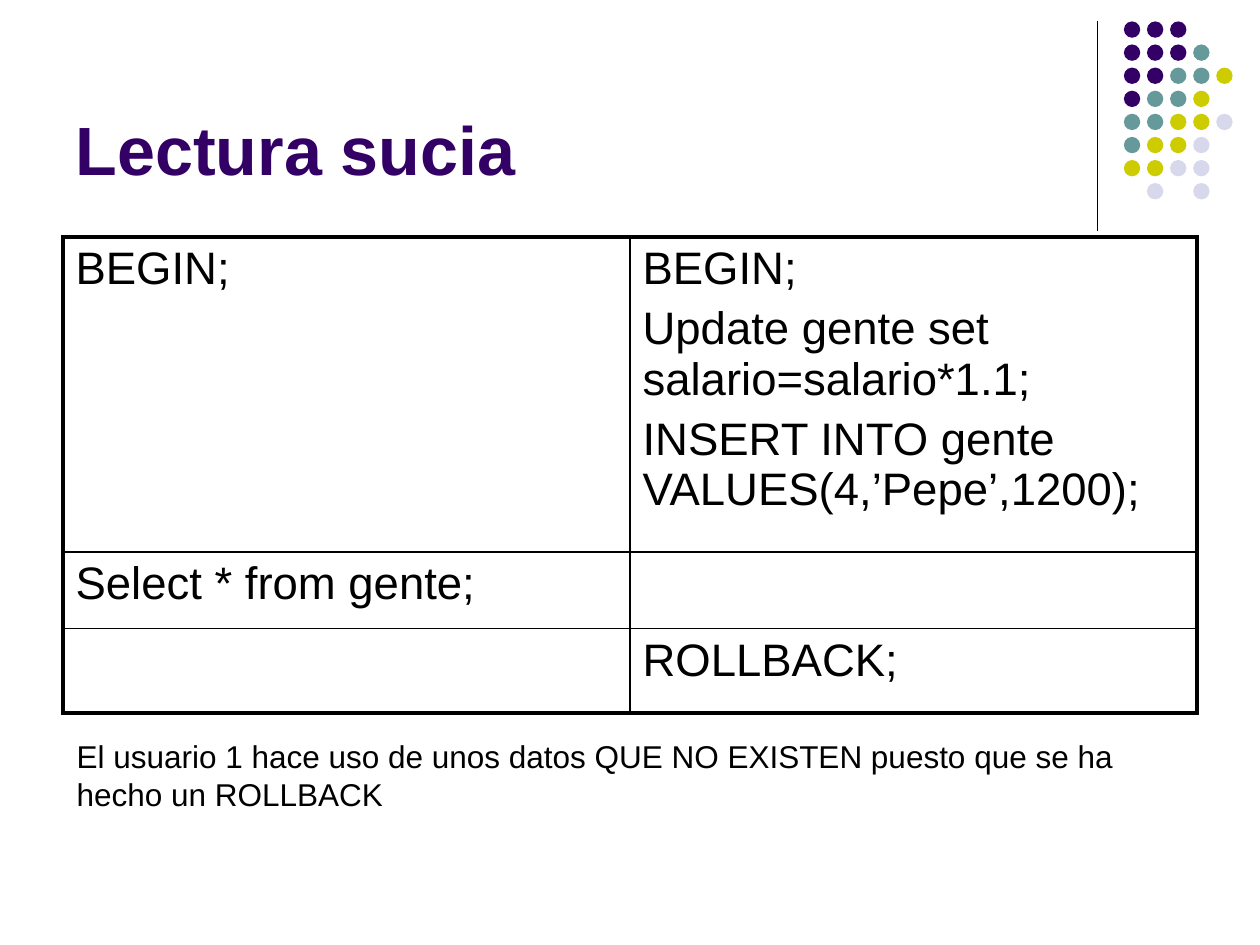
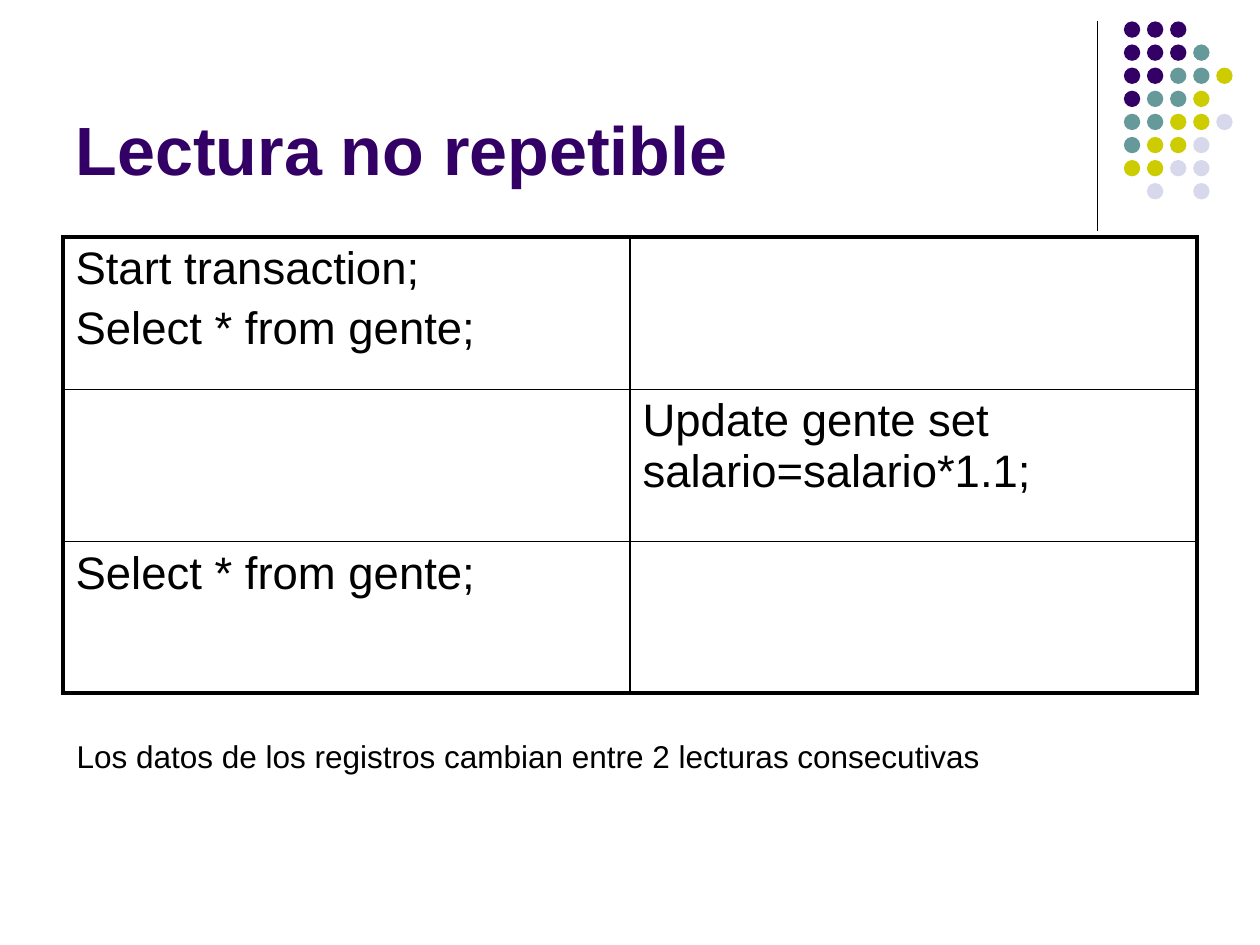
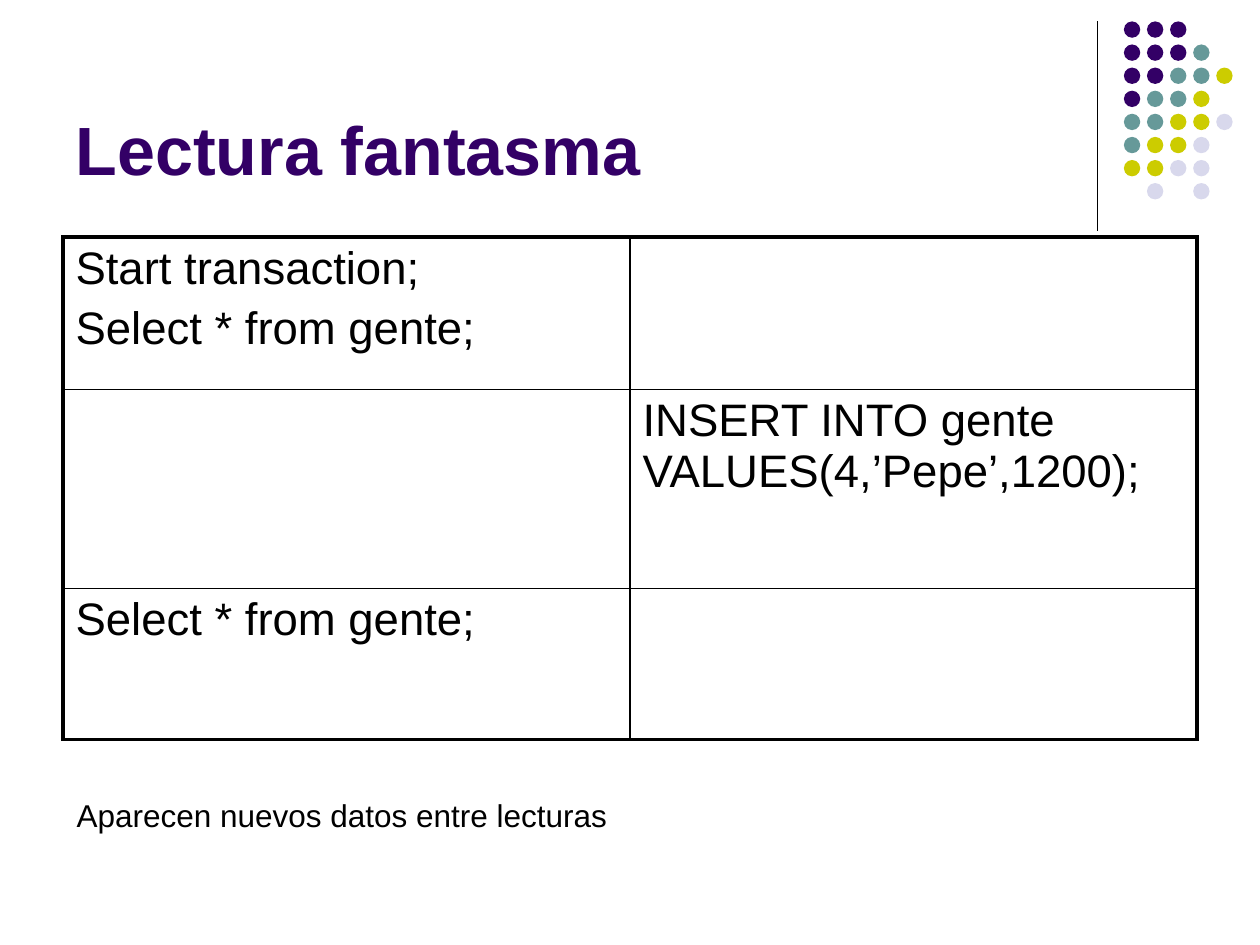
from lxml.etree import SubElement
from pptx import Presentation
from pptx.dml.color import RGBColor
from pptx.enum.shapes import MSO_CONNECTOR, MSO_SHAPE
from pptx.enum.text import MSO_ANCHOR, MSO_AUTO_SIZE, PP_ALIGN
from pptx.oxml.ns import qn
from pptx.util import Inches, Pt

COLS, ROWS = 20, 15
FONT = "Arial"
BLACK, PURPLE = "000000", "330066"
DOT_COLORS = {"P": PURPLE, "T": "669999", "Y": "CCCC00", "L": "D8D8EC"}
DOT_ROWS = ["PPP", "PPPT", "PPTTY", "PTTY", "TTYYL", "TYYL", "YYLL", " L L"]
DOT_SIZE, DOT_STEP = 0.26, 1.1 / 3
DOT_LEFT, DOT_TOP = 17.84, 0.34
OUTER, INNER = 2.25, 1

SLIDES = [
    {
        "title": "Lectura sucia",
        "heights": [5, 1.22, 1.34],
        "cells": [
            ["BEGIN;",
             "BEGIN;\nUpdate gente set salario=salario*1.1;\n"
             "INSERT INTO gente VALUES(4,’Pepe’,1200);"],
            ["Select * from gente;", ""],
            ["", "ROLLBACK;"],
        ],
        "note": "El usuario 1 hace uso de unos datos QUE NO EXISTEN "
                "puesto que se ha hecho un ROLLBACK",
        "note_box": (11.6, 1.4),
    },
    {
        "title": "Lectura no repetible",
        "heights": [2.42, 2.42, 2.4],
        "cells": [
            ["Start transaction;\nSelect * from gente;", ""],
            ["", "Update gente set salario=salario*1.1;"],
            ["Select * from gente;", ""],
        ],
        "note": "Los datos de los registros cambian entre 2 lecturas consecutivas",
        "note_box": (11.6, 0.8),
    },
    {
        "title": "Lectura fantasma",
        "heights": [2.42, 3.16, 2.4],
        "cells": [
            ["Start transaction;\nSelect * from gente;", ""],
            ["", "INSERT INTO gente VALUES(4,’Pepe’,1200);"],
            ["Select * from gente;", ""],
        ],
        "note": "Aparecen nuevos datos entre lecturas",
        "note_box": (12.54, 0.8),
    },
]


def color(hex_code):
    return RGBColor.from_string(hex_code)


class Deck:
    """Holds the presentation, its grid and style, and the current slide."""

    def __init__(self):
        self.prs = Presentation()
        self.prs.slide_width, self.prs.slide_height = Inches(10), Inches(7.5)
        self.s = None

    def x(self, cols):
        return round(self.prs.slide_width * cols / COLS)

    def y(self, rows):
        return round(self.prs.slide_height * rows / ROWS)

    def box(self, left, top, width, height):
        return self.x(left), self.y(top), self.x(width), self.y(height)

    def new_slide(self):
        self.s = self.prs.slides.add_slide(self.prs.slide_layouts[5])

    def set_text(self, tf, text, size, hex_code=BLACK, bold=False, before=0):
        tf.text = text
        for p in tf.paragraphs:
            p.alignment = PP_ALIGN.LEFT
            p.space_before = Pt(size * before)
            p.font.size = Pt(size)
            for r in p.runs:
                r.font.name, r.font.size, r.font.bold = FONT, Pt(size), bold
                r.font.color.rgb = color(hex_code)

    def title(self, text):
        sp = self.s.shapes.title
        sp.left, sp.top, sp.width, sp.height = self.box(1, 0.26, 16.5, 2.84)
        tf = sp.text_frame
        tf.auto_size = MSO_AUTO_SIZE.NONE
        tf.vertical_anchor = MSO_ANCHOR.BOTTOM
        self.set_text(tf, text, 39, PURPLE, bold=True)

    def rule(self, col, top, bottom):
        line = self.s.shapes.add_connector(
            MSO_CONNECTOR.STRAIGHT, self.x(col), self.y(top), self.x(col), self.y(bottom))
        line.line.color.rgb = color(BLACK)
        line.line.width = Pt(0.75)
        SubElement(line._element.spPr, qn("a:effectLst"))

    def dot(self, left, top, hex_code):
        sp = self.s.shapes.add_shape(
            MSO_SHAPE.OVAL, *self.box(left, top, DOT_SIZE, DOT_SIZE))
        sp.shadow.inherit = False
        sp.fill.solid()
        sp.fill.fore_color.rgb = color(hex_code)
        sp.line.fill.background()

    def ornament(self):
        self.rule(17.42, 0.34, 3.66)
        for i, row in enumerate(DOT_ROWS):
            for j, key in enumerate(row):
                if key in DOT_COLORS:
                    self.dot(DOT_LEFT + j * DOT_STEP, DOT_TOP + i * DOT_STEP,
                             DOT_COLORS[key])

    def borders(self, cell, widths):
        """Draw the left, right, top and bottom borders, in that order."""
        tc_pr = cell._tc.get_or_add_tcPr()
        for side, width in zip("LRTB", widths):
            ln = SubElement(tc_pr, qn(f"a:ln{side}"), w=str(Pt(width)))
            fill = SubElement(ln, qn("a:solidFill"))
            SubElement(fill, qn("a:srgbClr"), val=BLACK)

    def table(self, cells, heights):
        n_rows, n_cols = len(cells), len(cells[0])
        table = self.s.shapes.add_table(
            n_rows, n_cols, *self.box(1, 3.76, 18, sum(heights))).table
        table.first_row = table.horz_banding = False
        for i, row in enumerate(cells):
            table.rows[i].height = self.y(heights[i])
            for j, text in enumerate(row):
                cell = table.cell(i, j)
                self.set_text(cell.text_frame, text, 26, before=0.2)
                edges = (j == 0, j == n_cols - 1, i == 0, i == n_rows - 1)
                self.borders(cell, [OUTER if edge else INNER for edge in edges])
                cell.fill.background()

    def note(self, text, top, height):
        tf = self.s.shapes.add_textbox(*self.box(1.02, top, 17.96, height)).text_frame
        tf.word_wrap = True
        tf.auto_size = MSO_AUTO_SIZE.SHAPE_TO_FIT_TEXT
        self.set_text(tf, text, 18, before=0.5)


def main():
    deck = Deck()
    for content in SLIDES:
        deck.new_slide()
        deck.ornament()
        deck.title(content["title"])
        deck.table(content["cells"], content["heights"])
        deck.note(content["note"], *content["note_box"])
    deck.prs.save("out.pptx")


if __name__ == "__main__":
    main()
